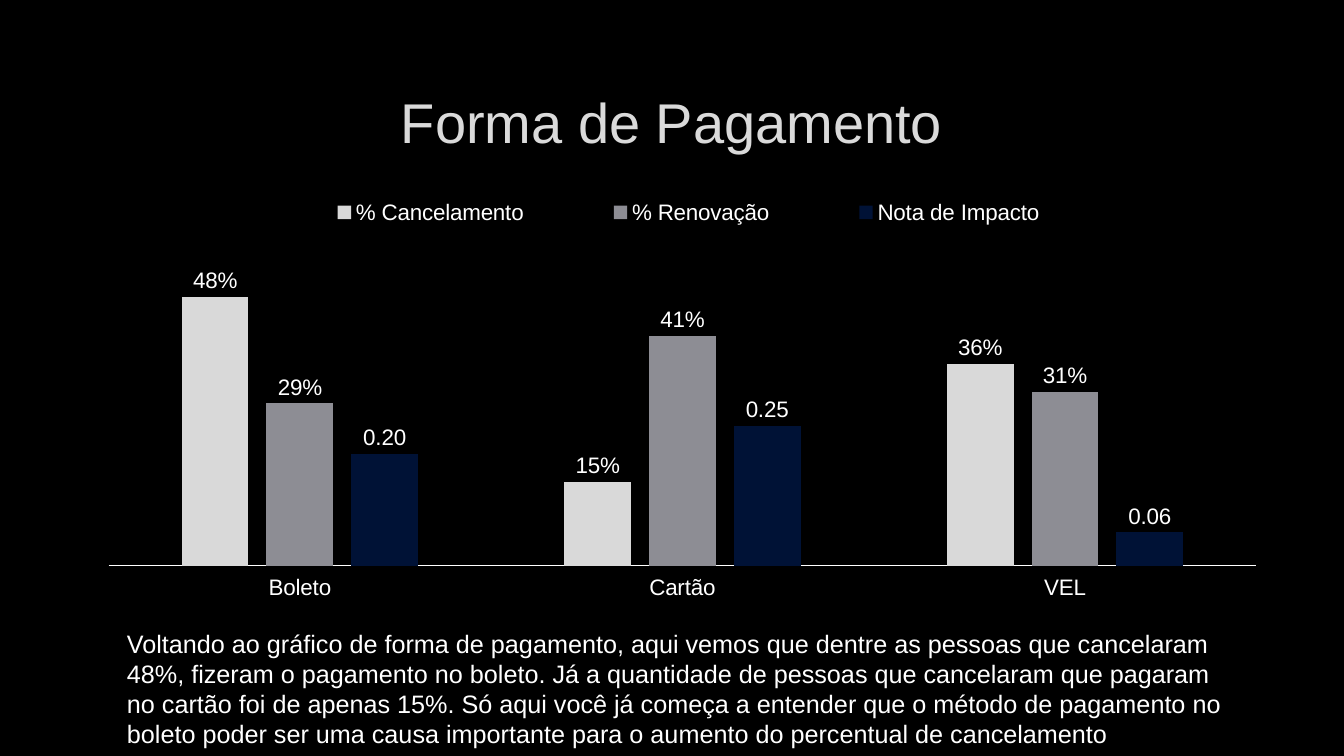
from lxml.etree import SubElement
from pptx import Presentation
from pptx.chart.data import CategoryChartData
from pptx.dml.color import RGBColor
from pptx.enum.chart import (XL_CHART_TYPE, XL_LABEL_POSITION,
                             XL_LEGEND_POSITION, XL_TICK_LABEL_POSITION,
                             XL_TICK_MARK)
from pptx.enum.text import MSO_ANCHOR, MSO_AUTO_SIZE, PP_ALIGN
from pptx.oxml import parse_xml
from pptx.oxml.ns import nsdecls, qn
from pptx.util import Pt

SCALE = 914400 / 100.8  # EMU in one px
COLORS = {"back": "000000", "title": "DADADA", "text": "FFFFFF",
          "cancel": "D9D9D9", "renew": "8D8D94", "impact": "001236"}


def box(*sizes):
    return [round(size * SCALE) for size in sizes]


def style(font, size, color):
    font.name = "Arial"
    font.size = Pt(size)
    font.color.rgb = RGBColor.from_string(COLORS[color])


# Slide and background
prs = Presentation()
prs.slide_width, prs.slide_height = box(1344, 756)
slide = prs.slides.add_slide(prs.slide_layouts[5])
fill = slide.background.fill
fill.solid()
fill.fore_color.rgb = RGBColor.from_string(COLORS["back"])

# Title with a faint outline
title = slide.shapes.title
title.left, title.top, title.width, title.height = box(101, 68, 1141, 107)
frame = title.text_frame
frame.text = "Forma de Pagamento"
frame.vertical_anchor = MSO_ANCHOR.MIDDLE
frame.paragraphs[0].alignment = PP_ALIGN.CENTER
run = frame.paragraphs[0].runs[0]
style(run.font, 40, "title")
run.font._element.insert(0, parse_xml(
    f'<a:ln {nsdecls("a")} w="9525"><a:solidFill><a:srgbClr val="404040">'
    '<a:alpha val="10000"/></a:srgbClr></a:solidFill></a:ln>'))

# Chart data
series = [
    ("% Cancelamento", (0.48, 0.15, 0.36), "cancel", "0%"),
    ("% Renovação", (0.29, 0.41, 0.31), "renew", "0%"),
    ("Nota de Impacto", (0.20, 0.25, 0.06), "impact", "#,##0.00"),
]
data = CategoryChartData()
data.categories = ["Boleto", "Cartão", "VEL"]
for name, values, color, form in series:
    data.add_series(name, values, form)
chart = slide.shapes.add_chart(XL_CHART_TYPE.COLUMN_CLUSTERED,
                               *box(72, 174, 1221, 426), data).chart
chart.has_title = False
style(chart.font, 10, "text")

# Columns and value labels
plot = chart.plots[0]
plot.vary_by_categories = False
plot.gap_width = 219
plot.overlap = -27
for bars, (name, values, color, form) in zip(plot.series, series):
    bars.format.fill.solid()
    bars.format.fill.fore_color.rgb = RGBColor.from_string(COLORS[color])
    labels = bars.data_labels
    labels.show_value = True
    labels.position = XL_LABEL_POSITION.OUTSIDE_END
    labels.number_format = form
    labels.number_format_is_linked = False
    style(labels.font, 16, "text")

# Axes
axis = chart.category_axis
axis.major_tick_mark = XL_TICK_MARK.NONE
axis.tick_label_position = XL_TICK_LABEL_POSITION.LOW
style(axis.tick_labels.font, 16, "text")
axis.format.line.color.rgb = RGBColor.from_string(COLORS["text"])
axis.format.line.width = Pt(0.75)
scale = chart.value_axis
scale.visible = False
scale.has_major_gridlines = False
scale.minimum_scale = 0
scale.maximum_scale = 0.6

# Legend
chart.has_legend = True
legend = chart.legend
legend.position = XL_LEGEND_POSITION.RIGHT
legend.include_in_layout = False
style(legend.font, 16, "text")

# Places of plot and legend, as shares of the chart
area = chart._chartSpace.chart.plotArea
for old in area.findall(qn("c:layout")):
    area.remove(old)
key = legend._element
for old in key.findall(qn("c:layout")):
    key.remove(old)
for part, spot, inner, place in (
        (area, 0, True, (0.03, 0.13, 0.94, 0.79)),
        (key, 1, False, (0.15, 0.04, 0.71, 0.1))):
    layout = parse_xml(f'<c:layout {nsdecls("c")}><c:manualLayout/></c:layout>')
    rules = [("layoutTarget", "inner")] if inner else []
    rules += [("xMode", "edge"), ("yMode", "edge"), *zip("xywh", place)]
    for tag, value in rules:
        SubElement(layout[0], qn(f"c:{tag}")).set("val", str(value))
    part.insert(spot, layout)

# Comment below the chart
note = slide.shapes.add_textbox(*box(117, 623, 1129, 132)).text_frame
note.word_wrap = True
note.auto_size = MSO_AUTO_SIZE.SHAPE_TO_FIT_TEXT
note.text = (
    "Voltando ao gráfico de forma de pagamento, aqui vemos que dentre as "
    "pessoas que cancelaram 48%, fizeram o pagamento no boleto. Já a "
    "quantidade de pessoas que cancelaram que pagaram no cartão foi de "
    "apenas 15%. Só aqui você já começa a entender que o método de pagamento "
    "no boleto poder ser uma causa importante para o aumento do percentual "
    "de cancelamento")
style(note.paragraphs[0].runs[0].font, 18, "text")

prs.save("out.pptx")
